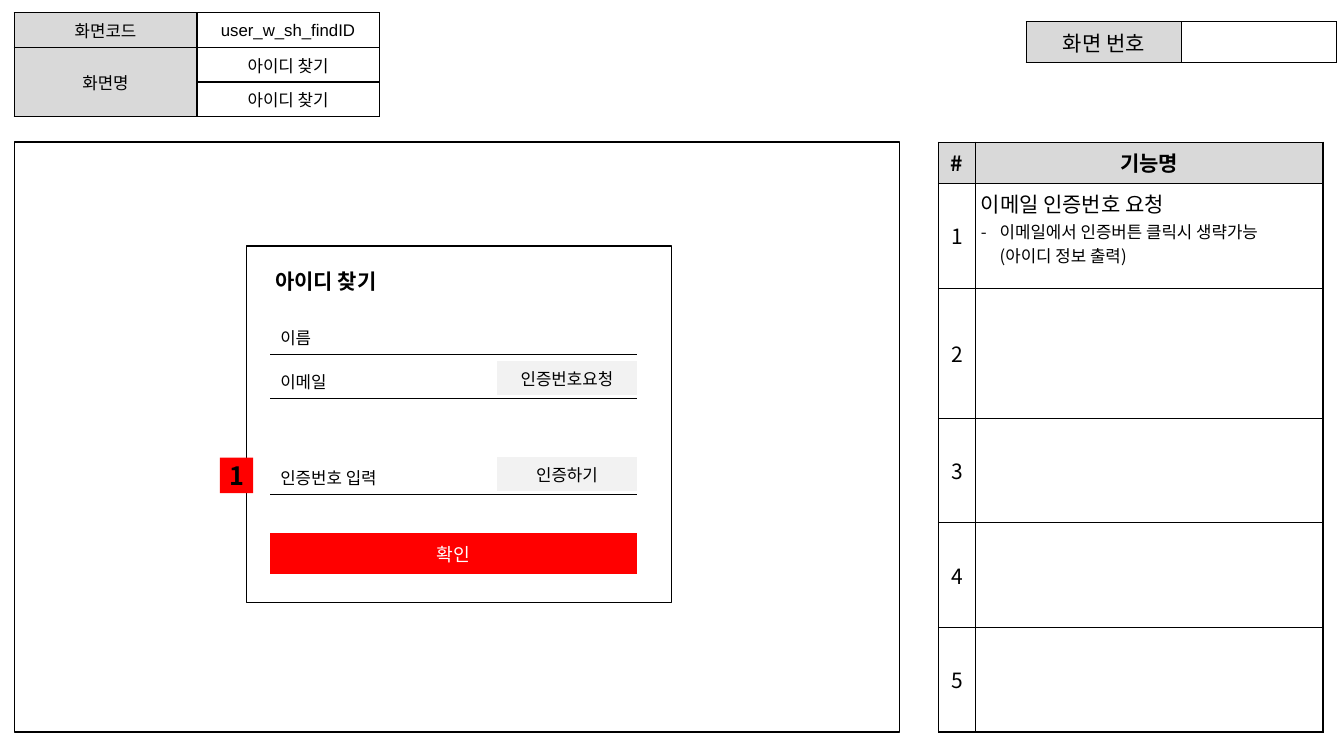
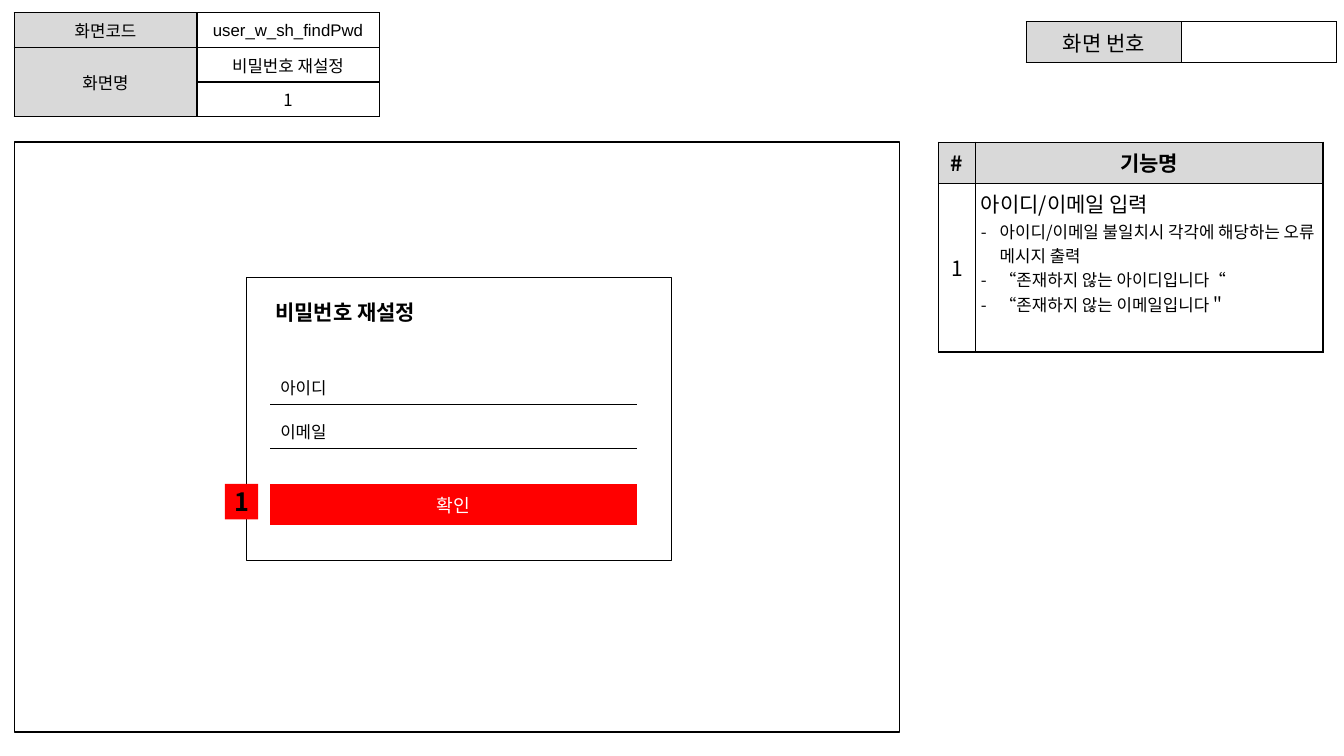
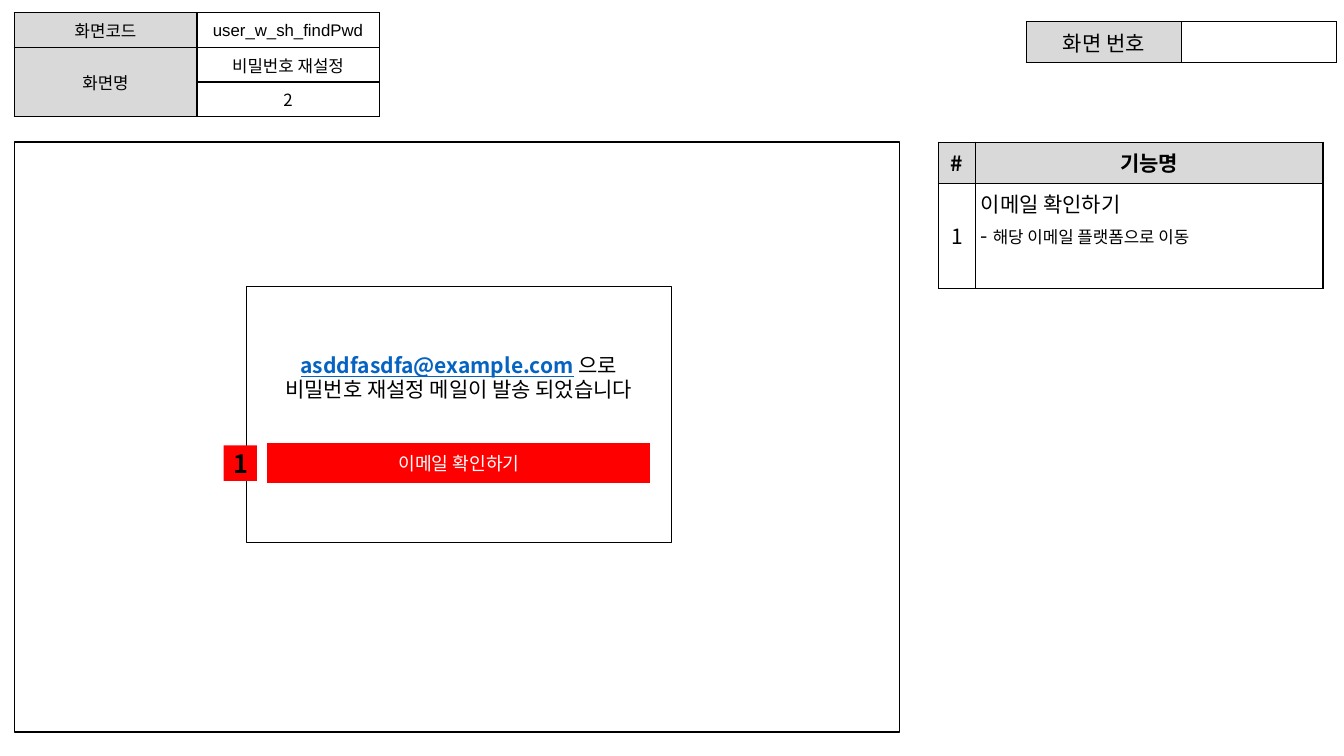
from lxml import etree
from pptx import Presentation
from pptx.dml.color import RGBColor
from pptx.enum import shapes, text
from pptx.oxml.ns import qn
from pptx.util import Pt

FONT, CODE_FONT = "Noto Sans CJK KR", "Arial"
BLACK, WHITE, RED = "000000", "FFFFFF", "FF0000"
HEADER_GREY, BUTTON_GREY, LINK_BLUE = "D9D9D9", "F2F2F2", "0563C1"
LEFT, CENTER = text.PP_ALIGN.LEFT, text.PP_ALIGN.CENTER
TOP, MIDDLE = text.MSO_ANCHOR.TOP, text.MSO_ANCHOR.MIDDLE
PLAIN_TABLE = "{2D5ABB26-0587-4C30-8999-92F81FD0307C}"
TITLE_ONLY, BLANK = 5, 6

PANEL = (10.4, 101.5, 632, 421.3)
DIALOG_LEFT, DIALOG_WIDTH = 176, 303.8
FIELD_INDENT, FIELD_WIDTH, FIELD_HEIGHT = 17, 262, 24.6
BUTTON_WIDTH = 100


def color(value):
    return RGBColor.from_string(value)


def style_run(span, size, tint=BLACK, bold=False, font=FONT):
    span.font.size, span.font.bold, span.font.name = Pt(size), bold, font
    span.font.color.rgb = color(tint)
    etree.SubElement(span.font._element, qn("a:ea")).set("typeface", font)


def write(frame, lines, size, tint=BLACK, bold=False, align=CENTER, font=FONT):
    """Fill a text frame, one paragraph a line; a vertical tab breaks a line."""
    frame.text = "\n".join(lines)
    for para in frame.paragraphs:
        para.alignment = align
        for span in para.runs:
            style_run(span, size, tint, bold, font)
        tag = "a:rPr"
        holders = para._p.findall(qn("a:br"))
        if not para.runs:
            tag, holders = "a:endParaRPr", [para._p]
        for holder in holders:
            etree.SubElement(holder, qn(tag)).set("sz", str(size * 100))


def set_insets(box, across, down):
    box.margin_left = box.margin_right = Pt(across)
    box.margin_top = box.margin_bottom = Pt(down)


def add_bullet(para):
    props = para._p.get_or_add_pPr()
    props.set("marL", str(Pt(13.5)))
    props.set("indent", str(-Pt(13.5)))
    etree.SubElement(props, qn("a:buFont")).set("typeface", FONT)
    etree.SubElement(props, qn("a:buChar")).set("char", "-")


def set_borders(cell, sides):
    props = cell._tc.get_or_add_tcPr()
    for side in "LRTB":
        line = etree.SubElement(props, qn("a:ln" + side))
        if side in sides:
            line.set("w", str(Pt(1)))
            fill = etree.SubElement(line, qn("a:solidFill"))
            etree.SubElement(fill, qn("a:srgbClr")).set("val", BLACK)
        else:
            etree.SubElement(line, qn("a:noFill"))


def add_grid(page, left, top, columns, rows, sides="LRTB"):
    """Add a plain white table with 1 pt borders on the given cell sides."""
    table = page.shapes.add_table(
        len(rows), len(columns), Pt(left), Pt(top), Pt(sum(columns)), Pt(sum(rows))
    ).table
    table.first_row = table.horz_banding = False
    table._tbl.tblPr.find(qn("a:tableStyleId")).text = PLAIN_TABLE
    for column, width in zip(table.columns, columns):
        column.width = Pt(width)
    for row, height in zip(table.rows, rows):
        row.height = Pt(height)
    for cell in table.iter_cells():
        set_borders(cell, sides)
        fill_cell(cell, "", 12)
    return table


def fill_cell(cell, words, size, fill=WHITE, anchor=MIDDLE, insets=(3.6, 3.6), **style):
    cell.fill.solid()
    cell.fill.fore_color.rgb = color(fill)
    cell.vertical_anchor = anchor
    set_insets(cell, *insets)
    write(cell.text_frame, words.split("\n"), size, **style)


def paint(shape, fill, line):
    shape.fill.solid()
    shape.fill.fore_color.rgb = color(fill)
    if line:
        shape.line.color.rgb = color(line)
        shape.line.width = Pt(1)
    else:
        shape.line.fill.background()


def add_box(page, left, top, width, height, fill=WHITE, line=BLACK):
    box = page.shapes.add_shape(
        shapes.MSO_SHAPE.RECTANGLE, Pt(left), Pt(top), Pt(width), Pt(height)
    )
    box.shadow.inherit = False
    paint(box, fill, line)
    box.text_frame.vertical_anchor = MIDDLE
    set_insets(box.text_frame, 3.6, 3.6)
    return box


def add_screen_info(page, code, name, part):
    table = add_grid(page, 10.1, 9.2, [130.6, 130.2], [24.7] * 3)
    table.cell(1, 0).merge(table.cell(2, 0))
    fill_cell(table.cell(0, 0), "화면코드", 12, HEADER_GREY)
    fill_cell(table.cell(1, 0), "화면명", 12, HEADER_GREY)
    fill_cell(table.cell(0, 1), code, 12, insets=(0.7, 0.7), font=CODE_FONT)
    fill_cell(table.cell(1, 1), name, 12)
    fill_cell(table.cell(2, 1), part, 12)


def add_screen_number(page):
    table = add_grid(page, 733, 15.6, [110.9] * 2, [29.3])
    fill_cell(table.cell(0, 0), "화면 번호", 15, HEADER_GREY)


def add_features(page, heights):
    """Add the numbered feature list and return the first feature's cell."""
    table = add_grid(page, 670.3, 101.5, [26.7, 248], [29.4] + heights)
    for column, heading in enumerate(["#", "기능명"]):
        fill_cell(table.cell(0, column), heading, 15, HEADER_GREY, bold=True)
    for number in range(1, len(heights) + 1):
        fill_cell(table.cell(number, 0), str(number), 15)
    return table.cell(1, 1)


def describe_feature(cell, heading, notes):
    fill_cell(cell, "", 15, anchor=TOP)
    write(cell.text_frame, [heading] + notes, 12, align=LEFT)
    heading_para, *note_paras = cell.text_frame.paragraphs
    heading_para.runs[0].font.size = Pt(15)
    for para in note_paras:
        add_bullet(para)


def add_frame(page, code, name, part, feature_heights):
    """Add what every screen shares and return the first feature's cell."""
    add_screen_number(page)
    feature = add_features(page, feature_heights)
    add_box(page, *PANEL)
    add_screen_info(page, code, name, part)
    return feature


def add_dialog_title(page, top, words, width):
    title = page.shapes.title
    title.left, title.top = Pt(DIALOG_LEFT + FIELD_INDENT), Pt(top + 8.6)
    title.width, title.height = Pt(width), Pt(32.4)
    paint(title, WHITE, WHITE)
    frame = title.text_frame
    frame.auto_size = text.MSO_AUTO_SIZE.NONE
    frame.vertical_anchor = MIDDLE
    set_insets(frame, 3.6, 3.6)
    write(frame, [words], 15, bold=True, align=LEFT)
    page.shapes.element.append(title.element)


def add_field(page, top, label, button=None):
    left = DIALOG_LEFT + FIELD_INDENT
    field = add_grid(page, left, top, [FIELD_WIDTH], [FIELD_HEIGHT], "B")
    fill_cell(field.cell(0, 0), label, 12, anchor=TOP, insets=(7.2, 3.6), align=LEFT)
    if button:
        side = add_grid(page, left + FIELD_WIDTH - BUTTON_WIDTH, top - 2,
                        [BUTTON_WIDTH], [FIELD_HEIGHT], "")
        fill_cell(side.cell(0, 0), button, 12, BUTTON_GREY, TOP, (7.2, 3.6))


def add_confirm(page, top, words, indent=FIELD_INDENT, width=FIELD_WIDTH):
    bar = add_grid(page, DIALOG_LEFT + indent, top, [width], [29], "")
    fill_cell(bar.cell(0, 0), words, 13, RED, insets=(7.2, 2.9), tint=WHITE)


def add_badge(page, left, top, number):
    badge = add_box(page, left, top, 23.8, 25.4, RED, None)
    set_insets(badge.text_frame, 7.2, 3.6)
    write(badge.text_frame, [number], 18, bold=True)


def add_form(page, top, height, title, title_width, fields, confirm_top, badge):
    """Add a form dialog; tops of its parts count from the dialog's top."""
    add_box(page, DIALOG_LEFT, top, DIALOG_WIDTH, height)
    add_dialog_title(page, top, title, title_width)
    for field_top, *words in fields:
        add_field(page, top + field_top, *words)
    add_confirm(page, top + confirm_top, "확인")
    add_badge(page, DIALOG_LEFT + badge[0], top + badge[1], "1")


def add_sent_notice(page, top, height):
    indent, width = 15, 273.6
    add_box(page, DIALOG_LEFT, top, DIALOG_WIDTH, height)
    message = add_box(page, DIALOG_LEFT + indent, top + 51.1, width, 28.8, line=WHITE)
    frame = message.text_frame
    frame.word_wrap = True
    write(frame, [" 으로\v비밀번호 재설정 메일이 발송 되었습니다"], 15)
    para = frame.paragraphs[0]
    para.line_spacing = 0.98
    address = para.add_run()
    address.text = "asddfasdfa@example.com"
    style_run(address, 15, LINK_BLUE, bold=True)
    address.font.underline = True
    para.runs[0]._r.addprevious(address._r)
    add_confirm(page, top + 111.6, "이메일 확인하기", indent, width)
    add_badge(page, DIALOG_LEFT - 16.3, top + 113.5, "1")


def build_find_id(deck):
    page = deck.slides.add_slide(deck.slide_layouts[TITLE_ONLY])
    feature = add_frame(page, "user_w_sh_findID", "아이디 찾기", "아이디 찾기",
                        [75, 93, 74.6, 74.8, 74.6])
    describe_feature(feature, "이메일 인증번호 요청",
                     ["이메일에서 인증버튼 클릭시 생략가능\v(아이디 정보 출력)"])
    fields = [(52.6, "이름"), (84.1, "이메일", "인증번호요청"),
              (152.7, "인증번호 입력", "인증하기")]
    add_form(page, 175.7, 254.9, "아이디 찾기", 113, fields, 205.2, (-19, 151.2))


def build_reset_password(deck):
    page = deck.slides.add_slide(deck.slide_layouts[TITLE_ONLY])
    feature = add_frame(page, "user_w_sh_findPwd", "비밀번호 재설정", "1", [120.6])
    describe_feature(feature, "아이디/이메일 입력", [
        "아이디/이메일 불일치시 각각에 해당하는 오류 메시지 출력",
        "“존재하지 않는 아이디입니다“",
        "“존재하지 않는 이메일입니다＂",
    ])
    fields = [(66.4, "아이디"), (97.8, "이메일")]
    add_form(page, 198, 202.3, "비밀번호 재설정", 131, fields, 147.7, (-15.4, 147.7))


def build_mail_sent(deck):
    page = deck.slides.add_slide(deck.slide_layouts[BLANK])
    feature = add_frame(page, "user_w_sh_findPwd", "비밀번호 재설정", "2", [75])
    fill_cell(feature, "이메일 확인하기\n- ", 15, anchor=TOP, align=LEFT)
    note = feature.text_frame.paragraphs[1].add_run()
    note.text = "해당 이메일 플랫폼으로 이동"
    style_run(note, 12)
    add_sent_notice(page, 204.6, 182.9)


def main():
    deck = Presentation()
    deck.slide_width, deck.slide_height = Pt(960), Pt(540)
    build_find_id(deck)
    build_reset_password(deck)
    build_mail_sent(deck)
    deck.save("out.pptx")


if __name__ == "__main__":
    main()
